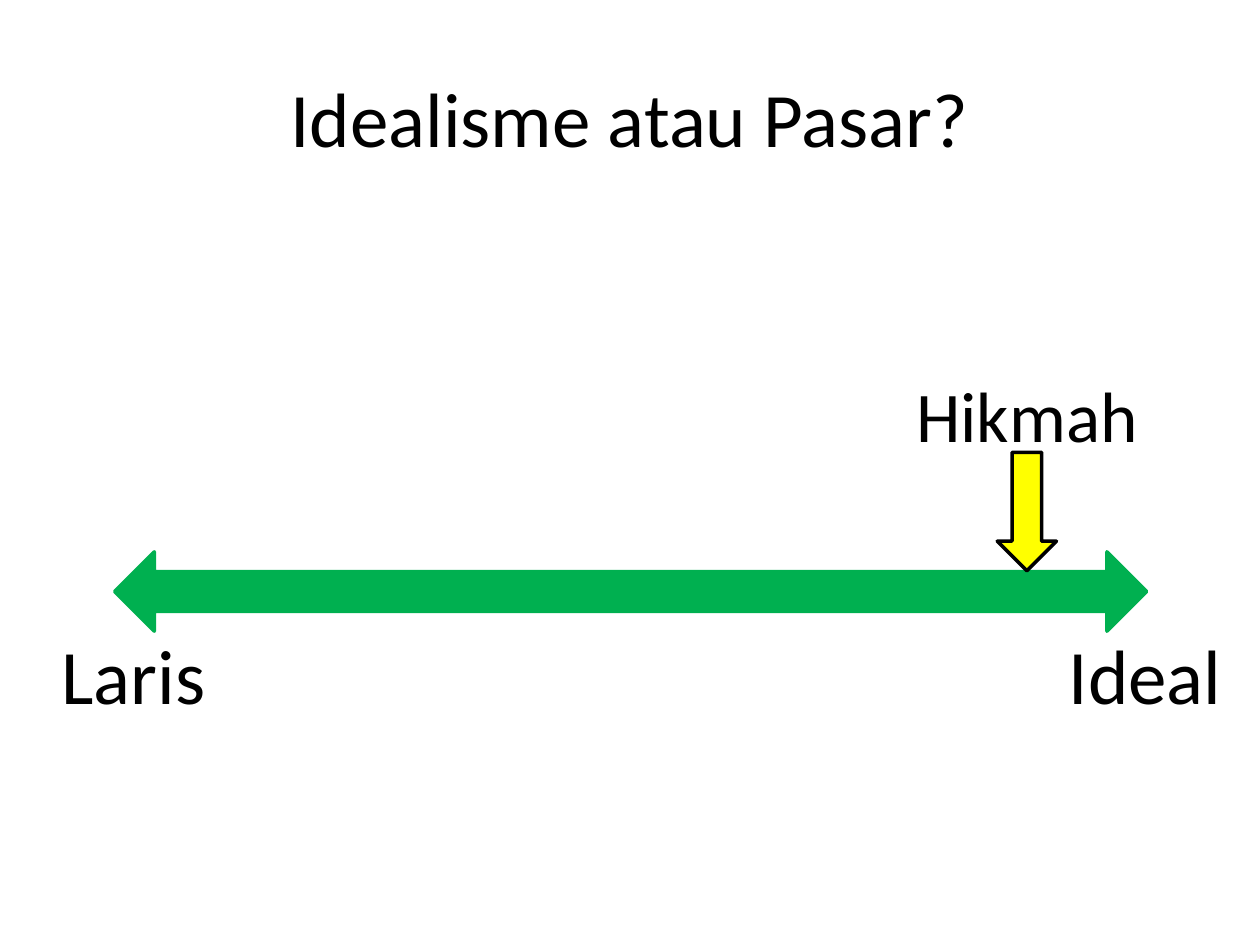
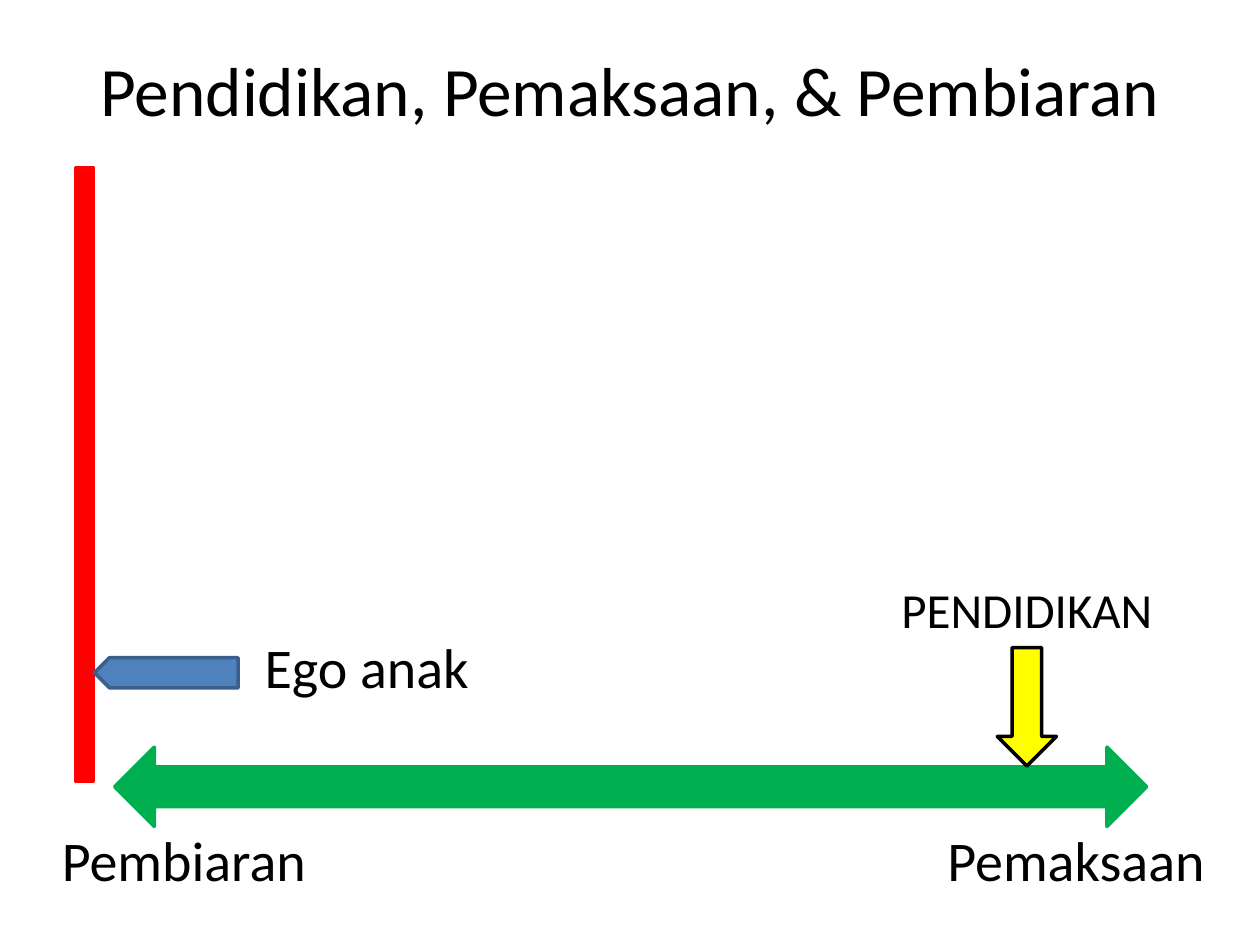
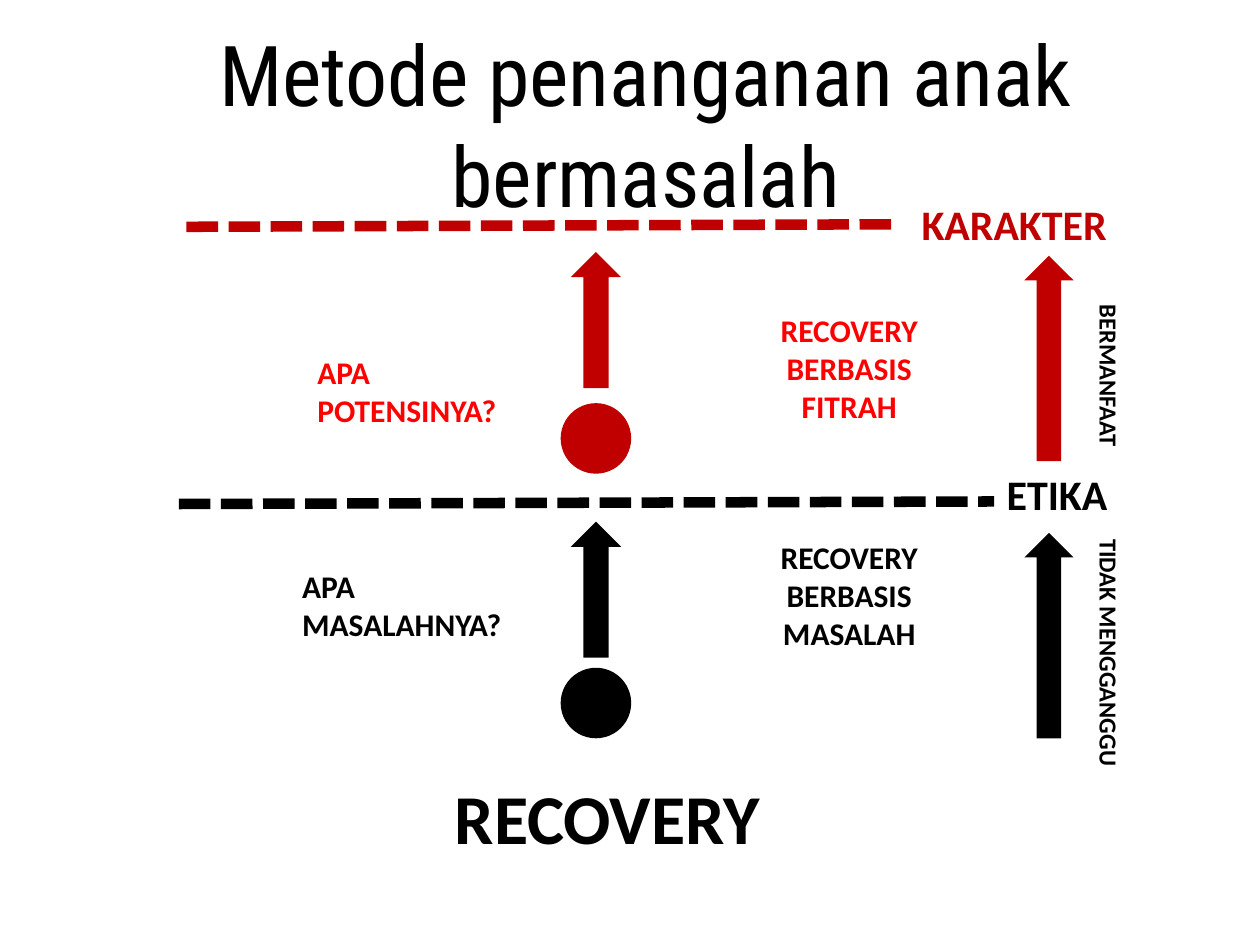
from dataclasses import dataclass

from lxml import etree
from pptx import Presentation
from pptx.dml.color import RGBColor
from pptx.enum import dml, shapes, text
from pptx.oxml import ns
from pptx.util import Inches, Pt

SHAPE = shapes.MSO_SHAPE
ALIGN = text.PP_ALIGN
ANCHOR = text.MSO_ANCHOR
FIT = text.MSO_AUTO_SIZE


@dataclass(frozen=True)
class Theme:
    font: str = "Calibri"
    method_font: str = "Roboto Condensed"
    black: str = "000000"
    green: str = "00B050"
    yellow: str = "FFFF00"
    red: str = "FF0000"
    dark_red: str = "C00000"
    blue: str = "4F81BD"
    blue_edge: str = "3A5F8C"
    title: float = 44
    long_title: float = 39.6
    method_title: float = 48
    hikmah: float = 40.7
    recovery: float = 40
    end: float = 32
    marker: float = 28
    level: float = 24
    note: float = 18
    side: float = 14
    outline: float = 2
    dash: float = 6


THEME = Theme()


@dataclass(frozen=True)
class Stage:
    top: float
    color: str
    note_color: str
    level: str
    level_box: tuple
    level_align: ALIGN
    line_ends: tuple
    question: str
    question_at: tuple
    basis: str
    basis_drop: float
    arrow_drop: float
    dot_drop: float
    effect: str


STAGES = (
    Stage(3.98, THEME.black, THEME.black, "ETIKA", (7.89, -0.31, 1.25, 0.5),
          ALIGN.LEFT, (1.42, 7.89), "APA MASALAHNYA?", (2.3, 0.47),
          "RECOVERY\nBERBASIS\nMASALAH", 0.24, 0.16, 1.32, "TIDAK MENGGANGGU"),
    Stage(1.78, THEME.dark_red, THEME.red, "KARAKTER", (6.8, -0.25, 2.5, 0.5),
          ALIGN.CENTER, (1.48, 7.11), "APA POTENSINYA?", (2.42, 0.97),
          "RECOVERY\nBERBASIS\nFITRAH", 0.64, 0.22, 1.42, "BERMANFAAT"),
)


def write(frame, content, size, color=THEME.black, font=THEME.font, bold=False,
          align=ALIGN.CENTER, anchor=ANCHOR.MIDDLE, fit=FIT.NONE):
    frame.text = content
    frame.word_wrap = True
    frame.auto_size = fit
    frame.vertical_anchor = anchor
    for paragraph in frame.paragraphs:
        paragraph.alignment = align
        paragraph.font.size = Pt(size)
        paragraph.font.name = font
        paragraph.font.bold = bold
        paragraph.font.color.rgb = RGBColor.from_string(color)


def add_label(slide, box, content, size, rotation=0, **style):
    label = slide.shapes.add_textbox(*map(Inches, box))
    label.rotation = rotation
    write(label.text_frame, content, size, **style)


def add_note(slide, box, content, size, **style):
    add_label(slide, box, content, size, bold=True, anchor=ANCHOR.TOP,
              fit=FIT.SHAPE_TO_FIT_TEXT, **style)


def add_figure(slide, kind, box, fill, edge=None):
    figure = slide.shapes.add_shape(kind, *map(Inches, box))
    figure.shadow.inherit = False
    figure.fill.solid()
    figure.fill.fore_color.rgb = RGBColor.from_string(fill)
    if edge:
        figure.line.color.rgb = RGBColor.from_string(edge)
        figure.line.width = Pt(THEME.outline)
    else:
        figure.line.fill.background()
    return figure


def add_dashes(slide, start, end, color):
    dashes = slide.shapes.add_connector(
        shapes.MSO_CONNECTOR.STRAIGHT, *map(Inches, start + end))
    dashes.line.color.rgb = RGBColor.from_string(color)
    dashes.line.width = Pt(THEME.dash)
    dashes.line.dash_style = dml.MSO_LINE.SQUARE_DOT
    etree.SubElement(dashes._element.spPr, ns.qn("a:effectLst"))


def titled_slide(deck, content, box, size, **style):
    slide = deck.slides.add_slide(deck.slide_layouts[5])
    heading = slide.shapes.title
    heading.left, heading.top, heading.width, heading.height = map(Inches, box)
    write(heading.text_frame, content, size, **style)
    return slide


def add_spectrum(slide, top, ends, end_size, end_left, end_width, end_drop,
                 marker, marker_size, marker_width):
    left, width, height, end_right = 0.91, 8.19, 0.63, 9.8
    pointer_center = left + 7.24
    add_figure(slide, SHAPE.LEFT_RIGHT_ARROW, (left, top, width, height),
               THEME.green, THEME.green)
    for end, x in zip(ends, (end_left, end_right - end_width)):
        add_label(slide, (x, top + end_drop, end_width, 1.25), end, end_size)
    add_figure(slide, SHAPE.DOWN_ARROW,
               (pointer_center - 0.235, top - 0.79, 0.47, 0.94),
               THEME.yellow, THEME.black)
    add_label(slide, (pointer_center - marker_width / 2, top - 1.72, marker_width, 1.25),
              marker, marker_size)


def add_ego_wall(slide, left, top):
    add_figure(slide, SHAPE.RECTANGLE, (left, top, 0.14, 4.87), THEME.red, THEME.red)
    add_label(slide, (left + 1.05, top + 3.6, 2.52, 0.71), "Ego anak", THEME.end)
    push = add_figure(slide, SHAPE.PENTAGON, (left + 0.15, top + 3.89, 1.14, 0.24),
                      THEME.blue, THEME.blue_edge)
    push._element.spPr.xfrm.set("flipH", "1")


def add_stage(slide, stage):
    top, color = stage.top, stage.color
    start, end = stage.line_ends
    add_dashes(slide, (start, top + 0.02), (end, top), color)
    add_figure(slide, SHAPE.FLOWCHART_CONNECTOR,
               (4.45, top + stage.dot_drop, 0.56, 0.56), color)
    add_figure(slide, SHAPE.UP_ARROW, (4.53, top + stage.arrow_drop, 0.4, 1.08), color)
    add_figure(slide, SHAPE.UP_ARROW, (8.13, top + 0.25, 0.39, 1.63), color)

    x, drop = stage.question_at
    add_note(slide, (x, top + drop, 2, 0.71), stage.question, THEME.note,
             color=stage.note_color, align=ALIGN.LEFT)
    add_note(slide, (5.55, top + stage.basis_drop, 2.38, 1.01), stage.basis, THEME.note,
             color=stage.note_color)
    x, drop, width, height = stage.level_box
    add_note(slide, (x, top + drop, width, height), stage.level, THEME.level,
             color=color, align=stage.level_align)
    add_note(slide, (7.76, top + 1.03, 2.08, 0.34), stage.effect, THEME.side, rotation=90)


def market_slide(deck):
    slide = titled_slide(deck, "Idealisme atau Pasar?", (0.5, 0.3, 9, 1.25), THEME.title)
    add_spectrum(slide, 4.38, ("Laris", "Ideal"), THEME.title, 0.35, 1.42, 0.34,
                 "Hikmah", THEME.hikmah, 2.05)


def education_slide(deck):
    slide = titled_slide(deck, "Pendidikan, Pemaksaan, & Pembiaran",
                         (0.5, 0.08, 9, 1.25), THEME.long_title)
    add_spectrum(slide, 5.93, ("Pembiaran", "Pemaksaan"), THEME.end, 0.2, 2.52, 0.26,
                 "PENDIDIKAN", THEME.marker, 2.37)
    add_ego_wall(slide, 0.6, 1.33)


def recovery_slide(deck):
    slide = titled_slide(deck, "Metode penanganan anak bermasalah",
                         (0.76, 0.13, 8.73, 0.91), THEME.method_title,
                         font=THEME.method_font, anchor=ANCHOR.TOP)
    for stage in STAGES:
        add_stage(slide, stage)
    add_note(slide, (1.87, 6.1, 5.9, 0.77), "RECOVERY", THEME.recovery)


def main():
    deck = Presentation()
    deck.slide_width, deck.slide_height = Inches(10), Inches(7.5)
    market_slide(deck)
    education_slide(deck)
    recovery_slide(deck)
    deck.save("out.pptx")


if __name__ == "__main__":
    main()
